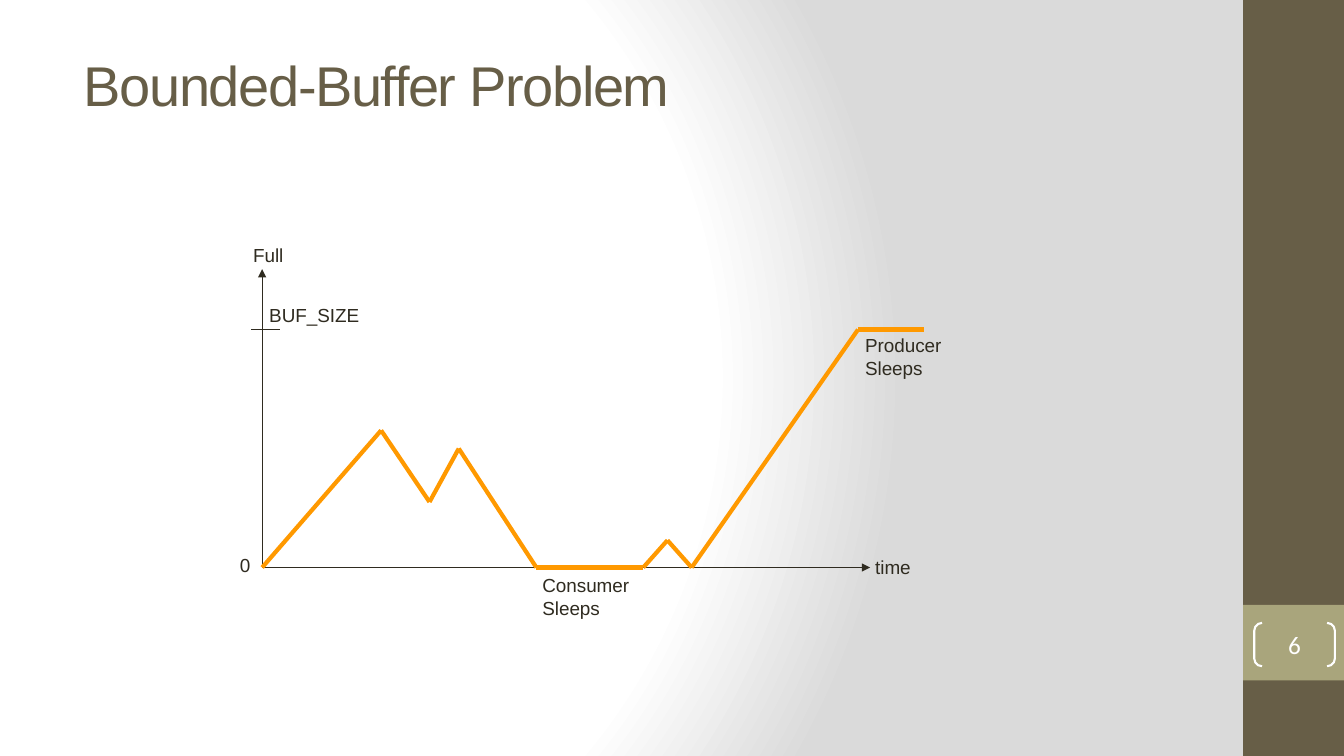
from dataclasses import dataclass

from lxml import etree
from pptx import Presentation
from pptx.dml.color import RGBColor
from pptx.enum.shapes import MSO_CONNECTOR, MSO_SHAPE
from pptx.enum.text import MSO_ANCHOR, MSO_AUTO_SIZE, PP_ALIGN
from pptx.oxml import parse_xml
from pptx.oxml.ns import nsdecls, qn
from pptx.util import Emu, Pt

RECTANGLE, BRACKETS = MSO_SHAPE.RECTANGLE, MSO_SHAPE.DOUBLE_BRACKET
STRAIGHT = MSO_CONNECTOR.STRAIGHT
MIDDLE, TOP = MSO_ANCHOR.MIDDLE, MSO_ANCHOR.TOP
LEFT, CENTER = PP_ALIGN.LEFT, PP_ALIGN.CENTER
NO_AUTOFIT = MSO_AUTO_SIZE.NONE
TITLE_ONLY = 5
EMU_PER_PX = 9144  # 100 px to the inch
SLIDE_WIDTH, SLIDE_HEIGHT = 1333, 750


@dataclass(frozen=True)
class Theme:
    brown: str = "675E47"
    olive: str = "A9A57C"
    ink: str = "2F2B20"
    orange: str = "FF9900"
    white: str = "FFFFFF"
    grey: str = "DADADA"
    body_font: str = "Arial"
    number_font: str = "Calibri"
    title_size: float = 40
    number_size: float = 18
    label_size: float = 13.5
    axis_width: float = 0.25
    bracket_width: float = 1.5
    curve_width: float = 3


THEME = Theme()


def px(length):
    return Emu(length * EMU_PER_PX)


def rgb(code):
    return RGBColor.from_string(code)


def write(frame, text, size=THEME.label_size, color=THEME.ink, font=THEME.body_font,
          align=LEFT, anchor=TOP, insets=(7, 4), wrap=False, tracking=0):
    """Fill a text frame; tracking is in hundredths of a point."""
    frame.text = text
    frame.word_wrap = wrap
    frame.auto_size = NO_AUTOFIT
    frame.vertical_anchor = anchor
    frame.margin_left = frame.margin_right = px(insets[0])
    frame.margin_top = frame.margin_bottom = px(insets[1])
    for paragraph in frame.paragraphs:
        paragraph.alignment = align
        for run in paragraph.runs:
            run.font.size = Pt(size)
            run.font.name = font
            run.font.color.rgb = rgb(color)
            if tracking:
                run.font._element.set("spc", str(tracking))


def add_label(slide, text, left, top, width, height=30):
    label = slide.shapes.add_textbox(px(left), px(top), px(width), px(height))
    write(label.text_frame, text)


def add_line(slide, start, end, color=THEME.ink, width=THEME.axis_width, arrow=False):
    line = slide.shapes.add_connector(STRAIGHT, *map(px, (*start, *end)))
    line.line.color.rgb = rgb(color)
    line.line.width = Pt(width)
    if arrow:
        etree.SubElement(line.line._get_or_add_ln(), qn("a:tailEnd"), type="triangle")
    etree.SubElement(line._element.spPr, qn("a:effectLst"))


def add_block(slide, left, top, width, height, fill=None, preset=RECTANGLE):
    block = slide.shapes.add_shape(preset, px(left), px(top), px(width), px(height))
    block.shadow.inherit = False
    block.line.fill.background()
    if fill:
        block.fill.solid()
        block.fill.fore_color.rgb = rgb(fill)
    else:
        block.fill.background()
    return block


def paint_background(slide):
    stops = "".join(
        f'<a:gs pos="{percent * 1000}"><a:srgbClr val="{color}"/></a:gs>'
        for percent, color in ((0, THEME.white), (75, THEME.white), (100, THEME.grey)))
    background = parse_xml(
        f'<p:bg {nsdecls("p", "a")}><p:bgPr><a:gradFill rotWithShape="1">'
        f'<a:gsLst>{stops}</a:gsLst><a:path path="circle">'
        '<a:fillToRect l="20000" t="50000" r="100000" b="50000"/></a:path>'
        '</a:gradFill><a:effectLst/></p:bgPr></p:bg>')
    slide._element.cSld.insert(0, background)


def add_title(slide, text, left, top, width, height):
    title = slide.shapes.title
    title.left, title.top, title.width, title.height = map(px, (left, top, width, height))
    write(title.text_frame, text, size=THEME.title_size, color=THEME.brown,
          anchor=MIDDLE, insets=(10, 5), wrap=True, tracking=-100)


def add_side_rail(slide, number, left, top, width, height):
    add_block(slide, left, top, width, height, THEME.brown)
    band_top = top + 600
    add_block(slide, left, band_top, width, 75, THEME.olive)
    brackets = add_block(slide, left + 11, band_top + 18, 80, 43, preset=BRACKETS)
    brackets.adjustments[0] = 0.18
    brackets.line.color.rgb = rgb(THEME.white)
    brackets.line.width = Pt(THEME.bracket_width)
    write(brackets.text_frame, number, size=THEME.number_size, color=THEME.white,
          font=THEME.number_font, align=CENTER, anchor=MIDDLE, insets=(0, 0))


def add_buffer_graph(slide, left, top, width, height):
    """Draw buffer fill level over time; the box is spanned by the two axes."""
    bottom = top + height
    buffer_size = 236
    consumer_sleep, producer_sleep = 272, 591
    levels = [(0, 0), (118, 136), (166, 65), (195, 118), (consumer_sleep, 0),
              (378, 0), (402, 27), (426, 0), (producer_sleep, buffer_size),
              (656, buffer_size)]
    curve = [(left + time, bottom - level) for time, level in levels]
    full_line = bottom - buffer_size

    add_line(slide, (left, bottom), (left + width, bottom), arrow=True)
    add_line(slide, (left, bottom), (left, top), arrow=True)
    add_line(slide, (left - 11, full_line), (left + 18, full_line))
    for start, end in zip(curve, curve[1:]):
        add_line(slide, start, end, THEME.orange, THEME.curve_width)

    add_label(slide, "Full", left - 16, top - 29, 45)
    add_label(slide, "BUF_SIZE", left, full_line - 30, 105)
    add_label(slide, "0", left - 29, bottom - 18, 25)
    add_label(slide, "time", left + width - 2, bottom - 16, 51)
    add_label(slide, "Consumer\nSleeps", left + consumer_sleep - 1, bottom + 2, 107, 53)
    add_label(slide, "Producer\nSleeps", left + producer_sleep, full_line, 92, 53)


def main():
    deck = Presentation()
    deck.slide_width, deck.slide_height = px(SLIDE_WIDTH), px(SLIDE_HEIGHT)
    slide = deck.slides.add_slide(deck.slide_layouts[TITLE_ONLY])
    paint_background(slide)
    add_side_rail(slide, "6", SLIDE_WIDTH - 100, 0, 100, SLIDE_HEIGHT)
    add_title(slide, "Bounded-Buffer Problem", 73, 61, 1170, 45)
    add_buffer_graph(slide, 260, 267, 603, 296)
    deck.save("out.pptx")


if __name__ == "__main__":
    main()
